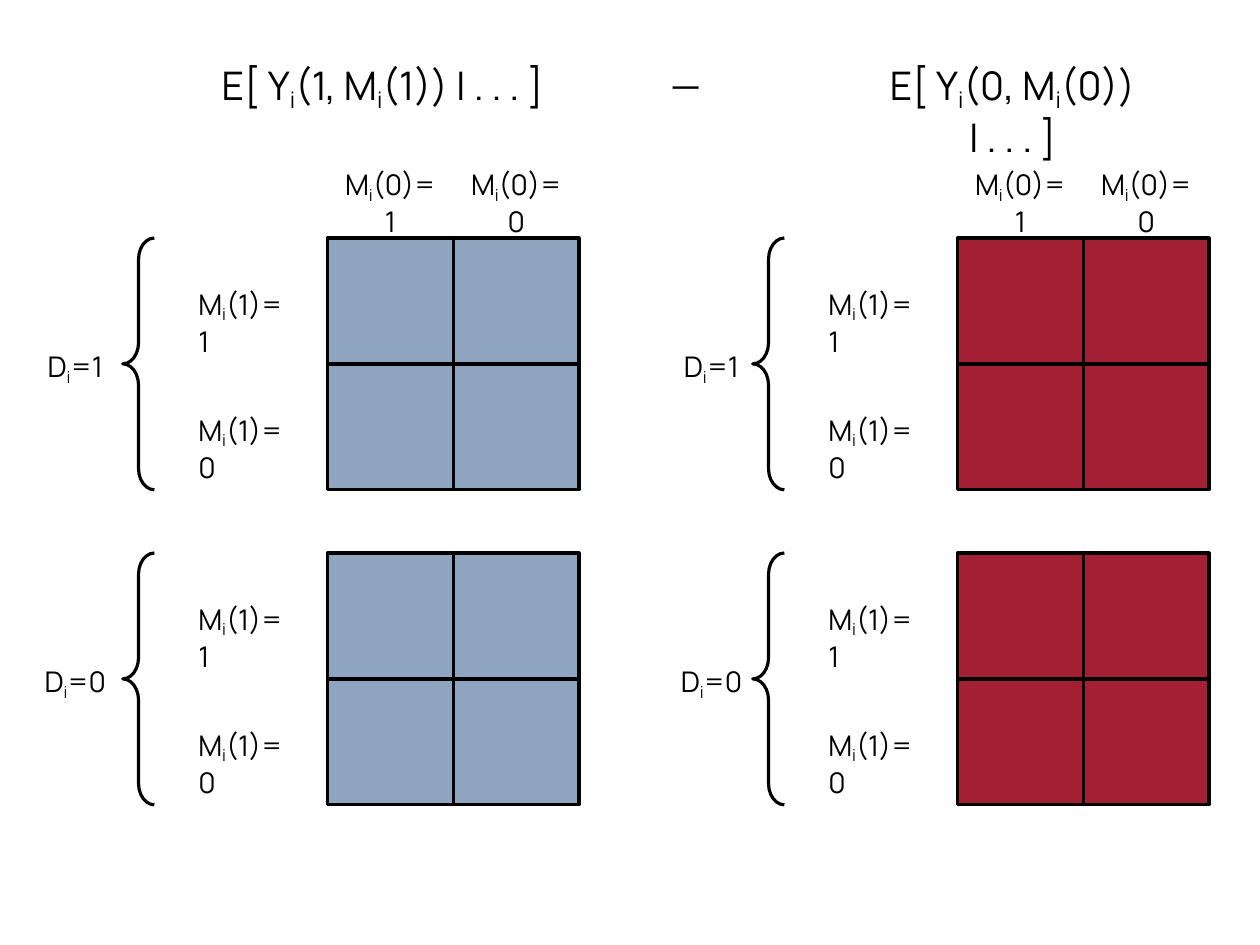
from itertools import product

from pptx import Presentation
from pptx.dml.color import RGBColor
from pptx.enum.shapes import MSO_SHAPE as Shape
from pptx.enum.text import MSO_AUTO_SIZE as AutoSize, PP_ALIGN as Align
from pptx.util import Cm, Pt

CELL = 2.03          # side of one grid cell
GRID_LEFT, GRID_TOP = 5.28, 3.84
PANEL_STEP = 10.16   # from the left panel to the right one
BLOCK_STEP = 5.08    # from the D=1 grid to the D=0 grid


def color(value):
    return RGBColor.from_string(value)


class Diagram:
    font = "Manrope"
    ink = "000000"
    stroke = 1.45
    label_size = 13
    heading_size = 18

    def __init__(self, page):
        self.page = page

    def outlined(self, kind, left, top, width, height):
        shape = self.page.shapes.add_shape(
            kind, Cm(left), Cm(top), Cm(width), Cm(height))
        shape.shadow.inherit = False
        shape.line.color.rgb = color(self.ink)
        shape.line.width = Pt(self.stroke)
        return shape

    def cell(self, left, top, fill):
        square = self.outlined(Shape.RECTANGLE, left, top, CELL, CELL)
        square.fill.solid()
        square.fill.fore_color.rgb = color(fill)

    def brace(self, left, top, width, height):
        brace = self.outlined(Shape.LEFT_BRACE, left, top, width, height)
        brace.fill.background()
        brace.adjustments[0] = 0.67

    def formula(self, parts, left, top, width, height, size=label_size,
                align=Align.CENTER):
        """Write the parts in turn; every second part is a subscript."""
        box = self.page.shapes.add_textbox(
            Cm(left), Cm(top), Cm(width), Cm(height))
        frame = box.text_frame
        frame.word_wrap = True
        frame.auto_size = AutoSize.SHAPE_TO_FIT_TEXT
        para = frame.paragraphs[0]
        para.alignment = align
        for index, part in enumerate(parts):
            span = para.add_run()
            span.text = part
            span.font.name = self.font
            span.font.size = Pt(size)
            span.font.color.rgb = color(self.ink)
            if index % 2:
                span.font._element.set("baseline", "-20000")

    def block(self, shift, label_left, top, treatment, fill):
        """One 2 by 2 grid with its row labels and brace."""
        for row, column in product(range(2), repeat=2):
            self.cell(GRID_LEFT + shift + column * CELL, top + row * CELL, fill)
        for row in range(2):
            self.formula(["M", "i", f"(1)={1 - row}"], 2.95 + shift,
                         top + row * CELL + 0.66, CELL, 2.74, align=Align.LEFT)
        self.formula(["D", "i", f"={treatment}"], label_left, top + 1.67,
                     CELL, 1.9)
        self.brace(1.98 + shift, top, 0.51, 2 * CELL)

    def panel(self, shift, label_left, value, fill):
        """One expectation: heading, column labels and two blocks."""
        self.formula(["E[ Y", "i", f"({value}, M", "i", f"({value})) | . . . ]"],
                     3.25 + shift, 0.86, 5.84, 2.03, self.heading_size)
        for column in range(2):
            self.formula(["M", "i", f"(0)={1 - column}"],
                         GRID_LEFT + shift + column * CELL, 2.57, CELL, 2.74)
        for index, treatment in enumerate((1, 0)):
            self.block(shift, label_left, GRID_TOP + index * BLOCK_STEP,
                       treatment, fill)


def main():
    deck = Presentation()
    deck.slide_width, deck.slide_height = Cm(20.32), Cm(15.24)
    diagram = Diagram(deck.slides.add_slide(deck.slide_layouts[6]))

    # Two expectations
    diagram.panel(0, 0.2, 1, "8FA4BF")
    diagram.panel(PANEL_STEP, 10.46, 0, "A31F34")

    # Minus sign between them
    diagram.formula(["—"], 10.41, 0.86, 1.3, 1.12, diagram.heading_size)

    deck.save("out.pptx")


if __name__ == "__main__":
    main()
